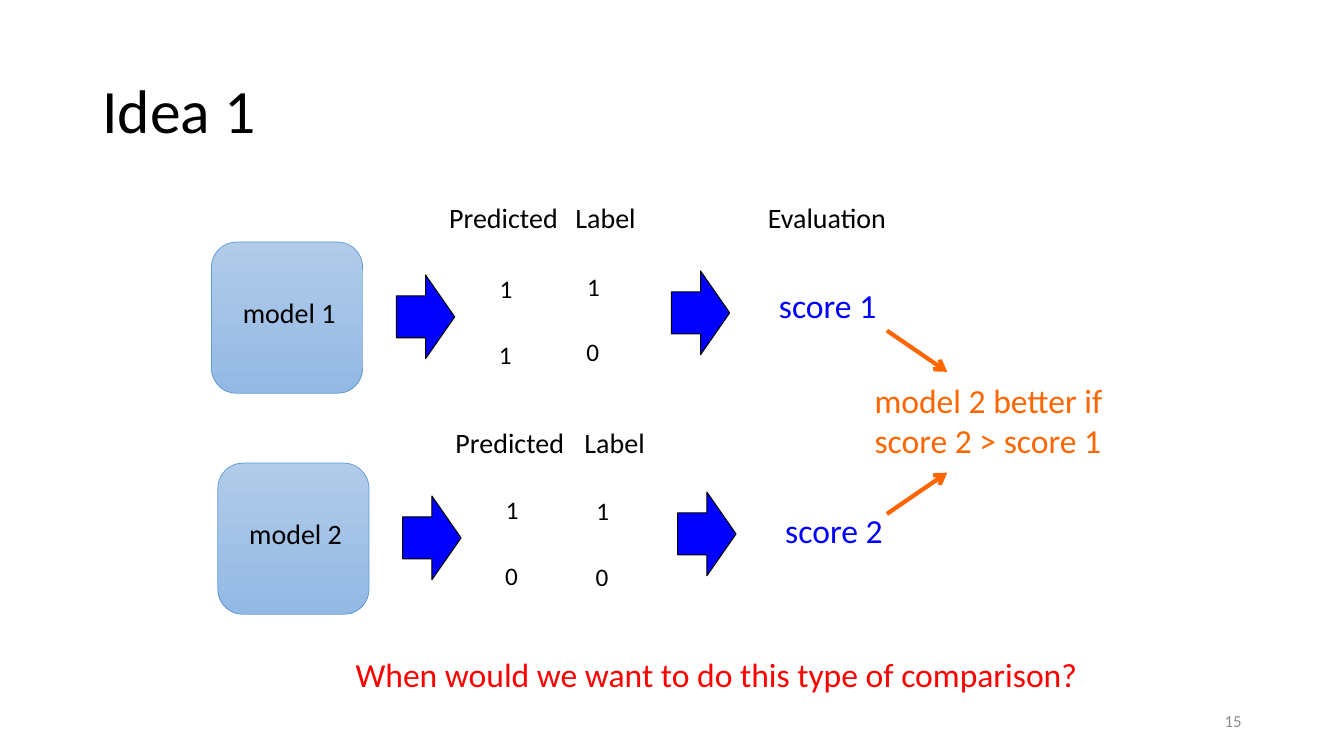
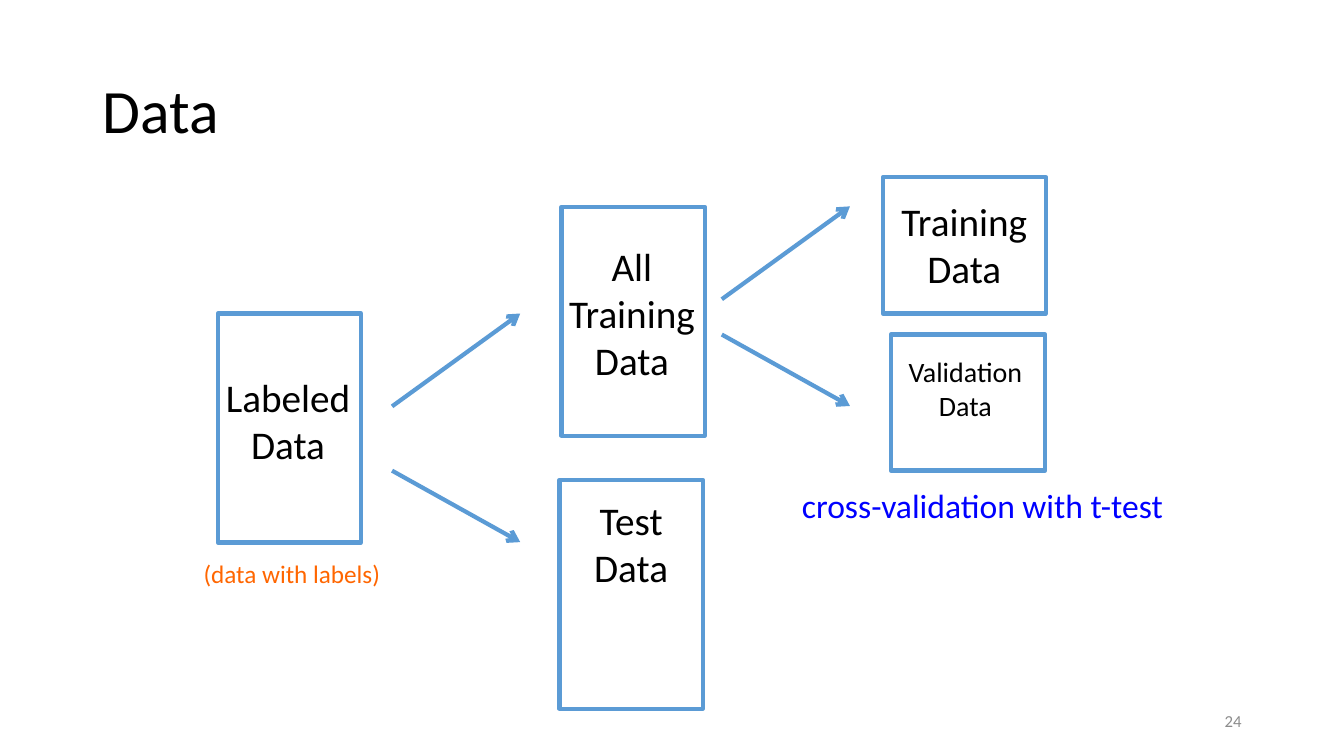
from lxml import etree
from pptx import Presentation
from pptx.dml.color import RGBColor
from pptx.enum.shapes import MSO_CONNECTOR, MSO_SHAPE
from pptx.enum.text import MSO_ANCHOR, MSO_AUTO_SIZE, PP_ALIGN
from pptx.oxml.ns import qn
from pptx.util import Cm, Pt

RECT, ROUND = MSO_SHAPE.RECTANGLE, MSO_SHAPE.ROUNDED_RECTANGLE
RIGHT_ARROW, STRAIGHT = MSO_SHAPE.RIGHT_ARROW, MSO_CONNECTOR.STRAIGHT
LEFT, CENTER, RIGHT = PP_ALIGN.LEFT, PP_ALIGN.CENTER, PP_ALIGN.RIGHT
TOP, MIDDLE = MSO_ANCHOR.TOP, MSO_ANCHOR.MIDDLE
GROW, FIXED = MSO_AUTO_SIZE.SHAPE_TO_FIT_TEXT, MSO_AUTO_SIZE.NONE

FONT = "Calibri"
COLORS = {
    "black": "000000", "blue": "0000FF", "orange": "FF6600", "red": "FF0000",
    "gray": "8C8C8C", "outline": "5B9BD5", "light": "B1CBE9", "deep": "93B9E4",
}


def rgb(name):
    """Return the named colour."""
    return RGBColor.from_string(COLORS[name])


class Deck:
    """Hold the shared style and the current slide."""

    def __init__(self):
        """Start a wide presentation."""
        self.prs = Presentation()
        self.prs.slide_width, self.prs.slide_height = Cm(33.87), Cm(19.05)
        self.s = None

    def slide(self, title, number):
        """Add a slide with its title and number."""
        self.s = self.prs.slides.add_slide(self.prs.slide_layouts[6])
        tf = self.text(title, 2.33, 1.01, 29.21, 3.68, 44, wrap=True,
                       anchor=MIDDLE, size_rule=FIXED)
        tf.paragraphs[0].line_spacing = 0.9
        self.text(number, 23.92, 17.66, 7.62, 1.01, 12, "gray", RIGHT,
                  wrap=True, anchor=MIDDLE, size_rule=FIXED)

    def text(self, words, x, y, w, h, size, color="black", align=LEFT,
             wrap=False, anchor=TOP, size_rule=GROW):
        """Add a text box and return its text frame."""
        tf = self.s.shapes.add_textbox(Cm(x), Cm(y), Cm(w), Cm(h)).text_frame
        tf.word_wrap, tf.auto_size = wrap, size_rule
        tf.vertical_anchor = anchor
        tf.text = words
        for p in tf.paragraphs:
            p.alignment = align
            for r in p.runs:
                r.font.name, r.font.size = FONT, Pt(size)
                r.font.color.rgb = rgb(color)
        return tf

    def shape(self, kind, x, y, w, h, line, width):
        """Add an outlined, unfilled shape."""
        sp = self.s.shapes.add_shape(kind, Cm(x), Cm(y), Cm(w), Cm(h))
        sp.shadow.inherit = False
        sp.fill.background()
        sp.line.color.rgb, sp.line.width = rgb(line), Pt(width)
        return sp

    def model(self, name, x, y):
        """Add a shaded model block with its name."""
        fill = self.shape(ROUND, x, y, 3.81, 3.81, "outline", 0.5).fill
        fill.gradient()
        fill.gradient_angle = 270
        for stop, color in zip(fill.gradient_stops, ("light", "deep")):
            stop.color.rgb = rgb(color)
        self.text(name, x + 0.54, y + 1.22, 2.87, 1.12, 20)

    def block_arrow(self, x, y):
        """Add a solid arrow between two stages."""
        fill = self.shape(RIGHT_ARROW, x, y, 1.47, 2.11, "black", 0.75).fill
        fill.solid()
        fill.fore_color.rgb = rgb("blue")

    def digits(self, values, x, y):
        """Add a column of values."""
        for i, value in enumerate(values):
            self.text(value, x - 0.02 * i, y + 1.66 * i, 0.86, 1.02, 18)

    def arrow(self, x, y, dx, dy, color):
        """Add a line with an open arrowhead at its far end."""
        line = self.s.shapes.add_connector(
            STRAIGHT, Cm(x), Cm(y), Cm(x + dx), Cm(y + dy))
        line.line.color.rgb, line.line.width = rgb(color), Pt(3)
        ln = line.line._get_or_add_ln()
        etree.SubElement(ln, qn("a:tailEnd"), type="arrow")
        etree.SubElement(line._element.spPr, qn("a:effectLst"))


def idea_slide(deck):
    """Compare two models by score."""
    deck.slide("Idea 1", "15")
    # model number, predictions, shift of the model part, shift of the labels
    rows = [("1", "11", 0, 0, 0, 0), ("2", "10", 0.16, 5.57, 0.23, 5.66)]
    for number, predicted, dx, dy, label_dx, label_dy in rows:
        deck.model(f"model {number}", 5.33 + dx, 6.1 + dy)
        deck.block_arrow(9.99 + dx, 6.93 + dy)
        deck.text("Predicted", 11.07 + dx, 4.93 + label_dy, 3.28, 1.12, 20)
        deck.digits(predicted, 12.34 + dx, 6.76 + dy)
        deck.text("Label", 14.25 + label_dx, 4.93 + label_dy, 2.06, 1.12, 20)
        deck.digits("10", 14.55 + label_dx, 6.7 + label_dy)
        deck.block_arrow(16.92 + dx, 6.83 + dy)
        deck.text(f"score {number}", 19.38 + dx, 7.06 + label_dy, 2.97, 1.27,
                  24, "blue")
    deck.text("Evaluation", 19.1, 4.93, 3.53, 1.12, 20)
    deck.text("model 2 better if score 2 > score 1", 21.79, 9.45, 7.62, 2.31,
              24, "orange", wrap=True)
    for y, dy in ((8.33, 1.04), (12.95, -1.04)):
        deck.arrow(22.35, y, 1.52, dy, "orange")
    deck.text("When would we want to do this type of comparison?",
              8.71, 16.36, 18.85, 1.27, 24, "red")


def data_slide(deck):
    """Show how labeled data is split twice."""
    deck.slide("Data", "24")
    tall = (3.61, 5.77)
    boxes = [
        ("Labeled\nData", (5.49, 7.9, *tall), (5.38, 9.27, 3.76, 2.64), 28),
        ("All\vTraining\nData", (14.15, 5.21, *tall),
         (14.07, 5.97, 3.71, 3.84), 28),
        ("Test\nData", (14.1, 12.09, *tall), (14.66, 12.37, 2.49, 2.64), 28),
        ("Training\nData", (22.25, 4.47, 4.11, 3.43),
         (22.23, 4.85, 4.14, 2.64), 28),
        ("Validation\nData", (22.45, 8.43, 3.89, 3.43),
         (22.63, 8.81, 3.4, 1.96), 20),
    ]
    for words, frame, area, size in boxes:
        deck.shape(RECT, *frame, "outline", 3)
        deck.text(words, *area, size, align=CENTER)
    for x, up_y, down_y in ((9.88, 10.24, 11.86), (18.19, 7.54, 8.43)):
        deck.arrow(x, up_y, 3.23, -2.34, "outline")
        deck.arrow(x, down_y, 3.23, 1.8, "outline")
    deck.text("(data with labels)", 4.88, 13.94, 5, 1.02, 18, "orange")
    deck.text("cross-validation with t-test", 19.96, 12.09, 9.73, 1.27, 24,
              "blue")


deck = Deck()
idea_slide(deck)
data_slide(deck)
deck.prs.save("out.pptx")
